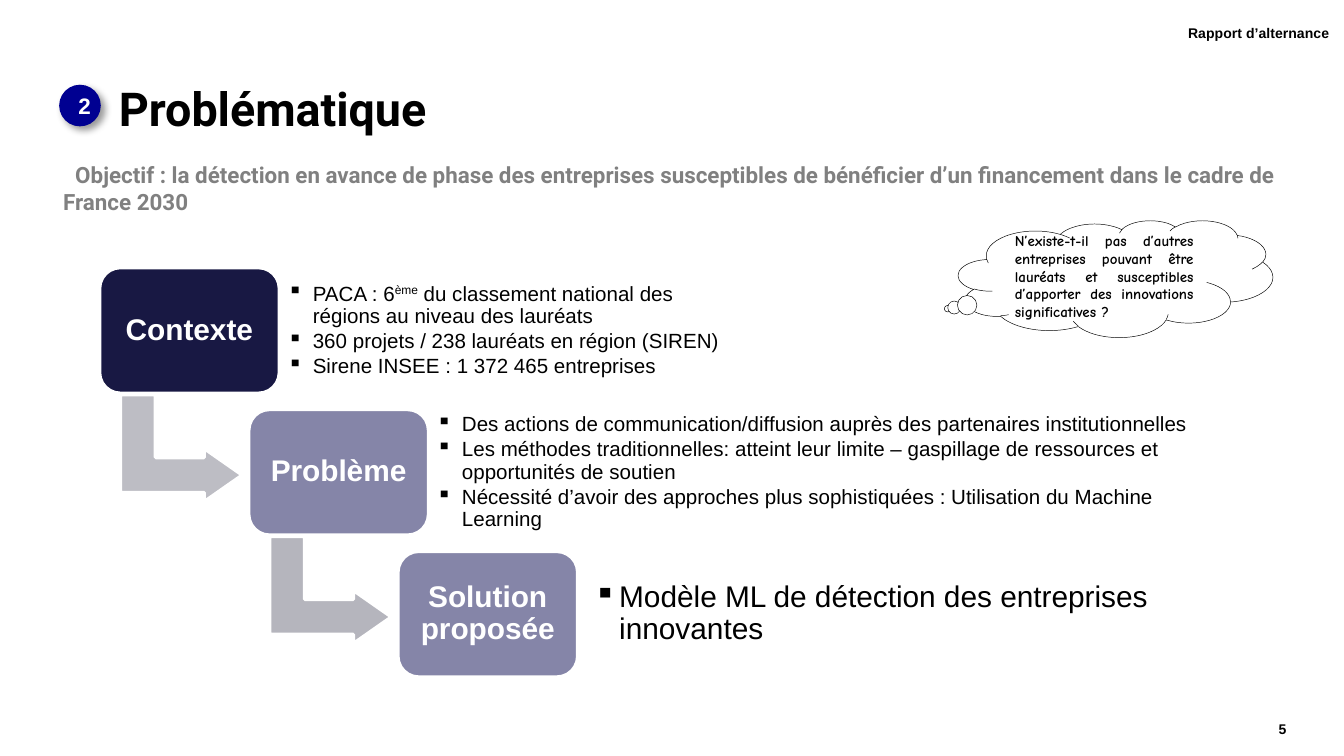
from dataclasses import dataclass
from typing import NamedTuple

from lxml import etree
from pptx import Presentation
from pptx.dml.color import RGBColor
from pptx.enum.shapes import MSO_SHAPE
from pptx.enum.text import MSO_ANCHOR, PP_ALIGN
from pptx.oxml.ns import qn
from pptx.util import Pt

ROUNDED, ARROW = MSO_SHAPE.ROUNDED_RECTANGLE, MSO_SHAPE.BENT_UP_ARROW
OVAL, CLOUD = MSO_SHAPE.OVAL, MSO_SHAPE.CLOUD_CALLOUT
TOP, MIDDLE = MSO_ANCHOR.TOP, MSO_ANCHOR.MIDDLE
LEFT, CENTER, RIGHT, JUSTIFY = PP_ALIGN.LEFT, PP_ALIGN.CENTER, PP_ALIGN.RIGHT, PP_ALIGN.JUSTIFY


@dataclass(frozen=True)
class Theme:
    black: str = "000000"
    white: str = "FFFFFF"
    grey: str = "808080"
    badge: str = "000091"
    navy: str = "181843"
    lavender: str = "8585A8"
    first_arrow: str = "BDBDC4"
    second_arrow: str = "B5B5BD"
    body_font: str = "Arial"
    head_font: str = "Roboto"
    cloud_font: str = "Comic Neue"
    title_size: float = 25
    step_size: float = 16
    objective_size: float = 12
    bullet_size: float = 11
    cloud_size: float = 8
    small_size: float = 7.5


THEME = Theme()


class Area(NamedTuple):
    left: float
    top: float
    width: float
    height: float


class Style(NamedTuple):
    size: float
    color: str = THEME.black
    bold: bool = True
    font: str = THEME.body_font
    align: PP_ALIGN = LEFT
    line_spacing: float = 1.0


@dataclass(frozen=True)
class Step:
    title: str
    color: str
    bullet_area: Area
    bullet_size: float
    bullets: tuple[str, ...]
    arrow_color: str = ""


# Text between carets is set as superscript
STEPS = (
    Step("Contexte", THEME.navy, Area(149.8, 149.8, 249.1, 54.7), THEME.bullet_size, (
        "PACA : 6^ème^ du classement national des régions au niveau des lauréats",
        "360 projets / 238 lauréats en région (SIREN)",
        "Sirene INSEE : 1 372 465 entreprises",
    ), THEME.first_arrow),
    Step("Problème", THEME.lavender, Area(229.7, 222.5, 421.9, 61.2), THEME.bullet_size, (
        "Des actions de communication/diffusion auprès des partenaires institutionnelles",
        "Les méthodes traditionnelles: atteint leur limite – gaspillage de ressources "
        "et opportunités de soutien",
        "Nécessité d’avoir des approches plus sophistiquées : Utilisation du Machine Learning",
    ), THEME.second_arrow),
    Step("Solution proposée ", THEME.lavender, Area(313.9, 301.7, 342, 54.7), THEME.step_size, (
        "Modèle ML de détection des entreprises innovantes",
    )),
)
FIRST_BOX = Area(53.3, 143.3, 96.5, 67.5)
FIRST_ARROW = Area(68.4, 207.4, 57.6, 65.5)
STEP_RIGHT, STEP_DOWN = 79.9, 76


def place(area: Area) -> tuple[int, ...]:
    return tuple(Pt(length) for length in area)


def write(shape, texts: tuple[str, ...], style: Style, anchor=MIDDLE, margin=None) -> list:
    """Fill a shape with styled paragraphs and return them."""
    frame = shape.text_frame
    frame.word_wrap = True
    frame.vertical_anchor = anchor
    if margin is not None:
        frame.margin_left = frame.margin_right = Pt(margin)
        frame.margin_top = frame.margin_bottom = Pt(margin)
    for index, text in enumerate(texts):
        para = frame.add_paragraph() if index else frame.paragraphs[0]
        para.alignment, para.line_spacing = style.align, style.line_spacing
        for part, piece in enumerate(text.split("^")):
            span = para.add_run()
            span.text = piece
            if part % 2:
                span.font._element.set("baseline", "30000")
        font = para.font
        font.name, font.size, font.bold = style.font, Pt(style.size), style.bold
        font.color.rgb = RGBColor.from_string(style.color)
    return list(frame.paragraphs)


def add_text(slide, area: Area, texts: tuple[str, ...], style: Style, anchor=MIDDLE, margin=None):
    box = slide.shapes.add_textbox(*place(area))
    return box, write(box, texts, style, anchor, margin)


def add_figure(slide, kind, area: Area, fill: str, line: str = "", width: float = 0):
    shape = slide.shapes.add_shape(kind, *place(area))
    shape.shadow.inherit = False
    shape.fill.solid()
    shape.fill.fore_color.rgb = RGBColor.from_string(fill)
    if line:
        shape.line.color.rgb = RGBColor.from_string(line)
        shape.line.width = Pt(width)
    else:
        shape.line.fill.background()
    return shape


def indent(para, margin: float, first: float) -> None:
    properties = para._p.get_or_add_pPr()
    properties.set("marL", str(Pt(margin)))
    properties.set("indent", str(Pt(first)))


def add_bullets(slide, step: Step) -> None:
    style = Style(step.bullet_size, bold=False, line_spacing=0.9)
    box = slide.shapes.add_textbox(*place(step.bullet_area))
    for para in write(box, step.bullets, style, margin=4.3):
        para.space_after = Pt(0.15 * step.bullet_size)
        indent(para, 13.5, -13.5)
        bullet = etree.Element(qn("a:buChar"), char="▪")
        para._p.pPr.find(qn("a:defRPr")).addprevious(bullet)


def add_shadow(shape) -> None:
    effects = shape._element.spPr.find(qn("a:effectLst"))
    shadow = etree.SubElement(effects, qn("a:outerShdw"), blurRad=str(Pt(4)),
                              dist=str(Pt(3)), dir="2700000", rotWithShape="0")
    color = etree.SubElement(shadow, qn("a:srgbClr"), val=THEME.black)
    etree.SubElement(color, qn("a:alpha"), val="40000")


def add_step(slide, index: int, step: Step) -> None:
    right, down = index * STEP_RIGHT, index * STEP_DOWN

    def shifted(area: Area) -> Area:
        return area._replace(left=area.left + right, top=area.top + down)

    if step.arrow_color:
        arrow = add_figure(slide, ARROW, shifted(FIRST_ARROW), step.arrow_color, THEME.white, 2)
        arrow.rotation = 90
        for number, value in enumerate((0.328, 0.25, 0.358)):
            arrow.adjustments[number] = value
    box = add_figure(slide, ROUNDED, shifted(FIRST_BOX), step.color, THEME.white, 2)
    write(box, (step.title,), Style(THEME.step_size, THEME.white, align=CENTER,
                                    line_spacing=0.9), margin=7.2)
    add_bullets(slide, step)


def main() -> None:
    deck = Presentation()
    deck.slide_width, deck.slide_height = Pt(720), Pt(405)
    slide = deck.slides.add_slide(deck.slide_layouts[6])

    # Header and page number
    small = Style(THEME.small_size, align=RIGHT)
    add_text(slide, Area(596.9, 3.6, 115.2, 28.1), ("Rapport d’alternance",), small, margin=0)
    add_text(slide, Area(582.5, 376.6, 106.6, 28.1), ("5",), small, margin=0)

    # Title with its numbered badge
    title, _ = add_text(slide, Area(25.2, 38.2, 663.1, 42.5), ("Problématique",),
                        Style(THEME.title_size, font=THEME.head_font, line_spacing=0.9))
    title.text_frame.margin_left = Pt(38.5)
    badge = add_figure(slide, OVAL, Area(31.7, 45.4, 22.3, 22.3), THEME.badge)
    add_shadow(badge)
    write(badge, ("2",), Style(THEME.objective_size, THEME.white, align=CENTER))

    # Objective
    _, paras = add_text(
        slide, Area(33.1, 86.4, 663.1, 19.4),
        ("Objectif : la détection en avance de phase des entreprises susceptibles de "
         "bénéficier d’un financement dans le cadre de France 2030",),
        Style(THEME.objective_size, THEME.grey, font=THEME.head_font), TOP, 0)
    indent(paras[0], 0.7, 6.5)

    # Staircase of steps
    for index, step in enumerate(STEPS):
        add_step(slide, index, step)

    # Question cloud
    cloud = add_figure(slide, CLOUD, Area(513.4, 118.1, 168.5, 62.6),
                       THEME.white, THEME.black, 0.25)
    cloud.adjustments[0], cloud.adjustments[1] = -0.534, 0.256
    write(cloud, ("N’existe-t-il pas d’autres entreprises pouvant être lauréats et "
                  "susceptibles d’apporter des innovations significatives ?",),
          Style(THEME.cloud_size, font=THEME.cloud_font, align=JUSTIFY))

    deck.save("out.pptx")


if __name__ == "__main__":
    main()
